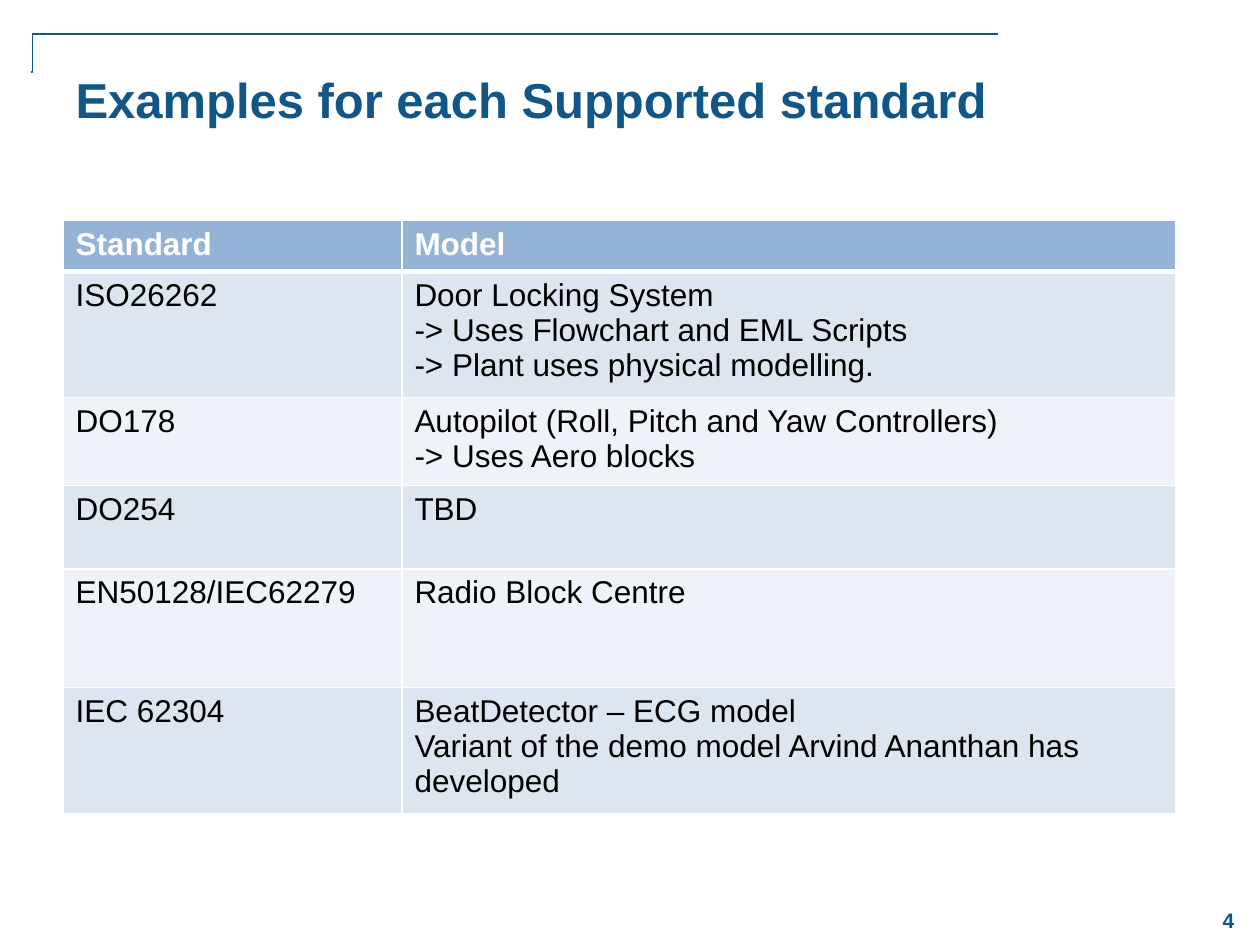
"""Build the slide that lists an example model for each supported standard."""
from dataclasses import dataclass

from lxml.etree import SubElement
from pptx import Presentation
from pptx.dml.color import RGBColor
from pptx.enum.shapes import MSO_CONNECTOR
from pptx.enum.text import MSO_ANCHOR, MSO_AUTO_SIZE, PP_ALIGN
from pptx.oxml import parse_xml
from pptx.oxml.ns import nsdecls, qn
from pptx.util import Inches, Pt

W, H = Inches(10), Inches(7.5)
NAVY = RGBColor(0x12, 0x56, 0x87)
WHITE = RGBColor(0xFF, 0xFF, 0xFF)
BLACK = RGBColor(0x00, 0x00, 0x00)
HEADER = RGBColor(0x95, 0xB3, 0xD7)
BANDS = (RGBColor(0xEF, 0xF2, 0xF8), RGBColor(0xDD, 0xE5, 0xF0))
THIN, THICK = Pt(1), Pt(3)


@dataclass(frozen=True)
class Box:
    """Area in percent of the slide's width and height."""
    x: float
    y: float
    w: float
    h: float

    def emu(self) -> tuple:
        return (int(W * self.x / 100), int(H * self.y / 100),
                int(W * self.w / 100), int(H * self.h / 100))


@dataclass(frozen=True)
class Row:
    """Table row with its height in percent of the slide."""
    standard: str
    model: str
    height: float


ROWS = (
    Row("Standard", "Model", 5.4),
    Row("ISO26262", "Door Locking System\n-> Uses Flowchart and EML Scripts\n"
        "-> Plant uses physical modelling.", 12.55),
    Row("DO178", "Autopilot (Roll, Pitch and Yaw Controllers)\n-> Uses Aero blocks", 8.8),
    Row("DO254", "TBD", 8.8),
    Row("EN50128/IEC62279", "Radio Block Centre", 12.55),
    Row("IEC 62304", "BeatDetector – ECG model\n"
        "Variant of the demo model Arvind Ananthan has developed", 12.55),
)
COLS = (26.9, 61.4)
TITLE = Box(5, 6.67, 88.3, 14.4)
TABLE = Box(5, 23.33, sum(COLS), sum(r.height for r in ROWS))
NUMBER = Box(95, 94.53, 5, 5.6)
CORNER = Box(2.5, 3.6, 76.7, 4)


def write(tf, text: str, color: RGBColor, size: int, bold: bool, align=PP_ALIGN.LEFT) -> None:
    """Fill a text frame, one paragraph a line, in one format."""
    tf.text = text
    fmt = {"name": "Arial", "size": Pt(size), "bold": bold}
    for p in tf.paragraphs:
        p.alignment = align
        for r in p.runs:
            for key, value in fmt.items():
                setattr(r.font, key, value)
            r.font.color.rgb = color


def set_borders(cell, top: int, bottom: int) -> None:
    """Give a cell white borders."""
    tc_pr = cell._tc.get_or_add_tcPr()
    widths = {"lnL": THIN, "lnR": THIN, "lnT": top, "lnB": bottom}
    for i, (tag, width) in enumerate(widths.items()):
        tc_pr.insert(i, parse_xml(
            f'<a:{tag} {nsdecls("a")} w="{int(width)}"><a:solidFill>'
            f'<a:srgbClr val="{WHITE}"/></a:solidFill></a:{tag}>'))


def add_title(s) -> None:
    """Place and format the slide title."""
    sp = s.shapes.title
    for key, value in zip(("left", "top", "width", "height"), TITLE.emu()):
        setattr(sp, key, value)
    tf = sp.text_frame
    for key, value in {"auto_size": MSO_AUTO_SIZE.NONE, "word_wrap": True,
                       "vertical_anchor": MSO_ANCHOR.TOP}.items():
        setattr(tf, key, value)
    write(tf, "Examples for each Supported standard", NAVY, 28, True)


def add_corner(s) -> None:
    """Draw the bent rule above the title."""
    x, y, w, h = CORNER.emu()
    c = s.shapes.add_connector(MSO_CONNECTOR.ELBOW, x + w, y, x, y + h)
    c.line.color.rgb, c.line.width = NAVY, THIN
    sp_pr = c._element.spPr
    av = sp_pr.find(qn("a:prstGeom")).find(qn("a:avLst"))
    SubElement(av, qn("a:gd"), name="adj1", fmla="val 99900")
    SubElement(sp_pr, qn("a:effectLst"))


def add_number(s) -> None:
    """Add the slide number."""
    tf = s.shapes.add_textbox(*NUMBER.emu()).text_frame
    tf.word_wrap, tf.vertical_anchor = True, MSO_ANCHOR.MIDDLE
    write(tf, "4", NAVY, 12, True, PP_ALIGN.CENTER)


def add_standards(s) -> None:
    """Add the table of standards and models."""
    tbl = s.shapes.add_table(len(ROWS), len(COLS), *TABLE.emu()).table
    for col, share in zip(tbl.columns, COLS):
        col.width = int(W * share / 100)
    for i, row in enumerate(ROWS):
        tbl.rows[i].height = int(H * row.height / 100)
        head = i == 0
        for j, text in enumerate((row.standard, row.model)):
            cell = tbl.cell(i, j)
            cell.fill.solid()
            cell.fill.fore_color.rgb = HEADER if head else BANDS[i % 2]
            write(cell.text_frame, text, WHITE if head else BLACK, 18, head)
            set_borders(cell, THICK if i == 1 else THIN, THICK if head else THIN)


def main() -> None:
    """Build and save the slide."""
    prs = Presentation()
    prs.slide_width, prs.slide_height = W, H
    s = prs.slides.add_slide(prs.slide_layouts[5])
    add_corner(s)
    add_number(s)
    add_title(s)
    add_standards(s)
    prs.save("out.pptx")


if __name__ == "__main__":
    main()
